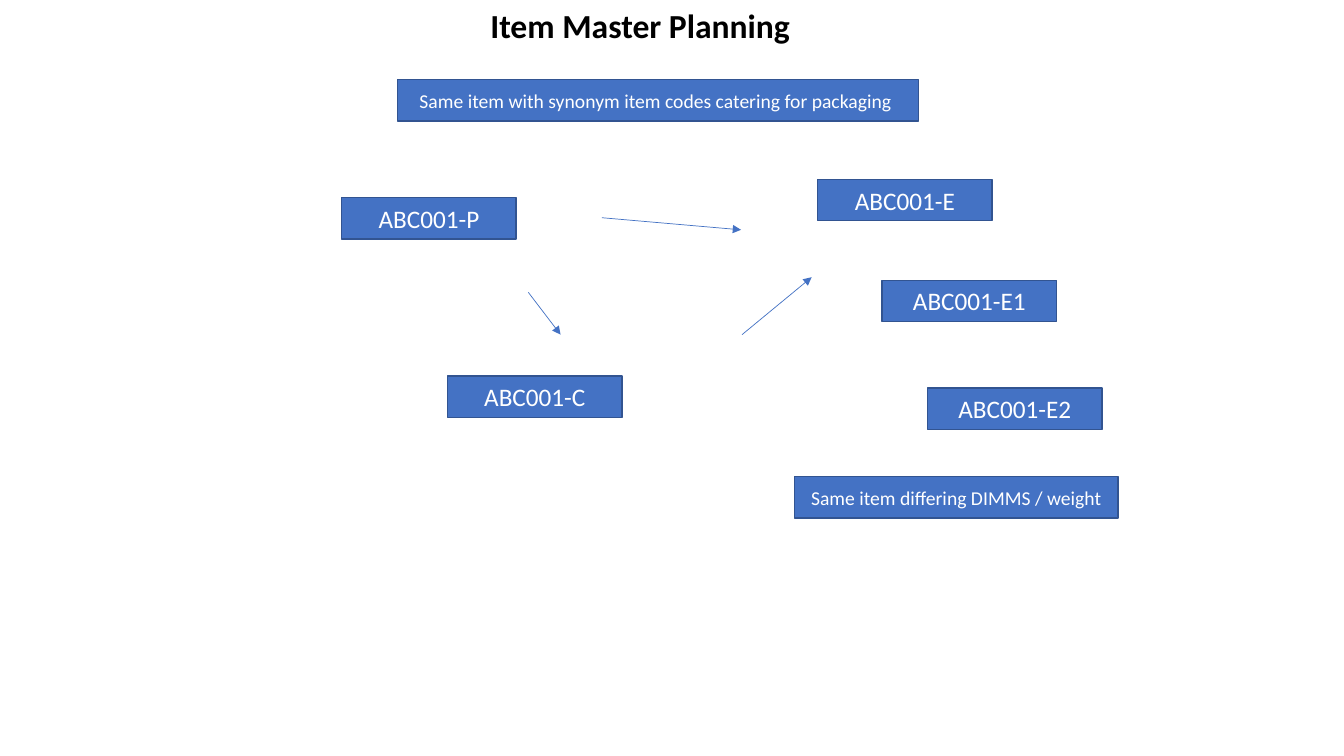
import pptx
import pptx.util
import pptx.dml.color
import pptx.enum.shapes
import pptx.enum.text
import pptx.oxml.ns
from lxml import etree

Inches = pptx.util.Inches
Pt = pptx.util.Pt
RGBColor = pptx.dml.color.RGBColor

BLACK = RGBColor(0x00, 0x00, 0x00)
WHITE = RGBColor(0xFF, 0xFF, 0xFF)
BLUE = RGBColor(0x44, 0x72, 0xC4)
DARK_BLUE = RGBColor(0x32, 0x54, 0x91)

LABEL_HEIGHT = 0.41
ITEM_WIDTH = 1.73
ITEM_FONT = {"name": "Calibri", "size": Pt(18), "bold": False}
NOTE_FONT = {**ITEM_FONT, "size": Pt(14)}
TITLE_FONT = {"name": "Calibri", "size": Pt(24), "bold": True}

# Offsets from the left top corner of the item map
ITEMS = [
    ("ABC001-P", 0, 0.18),
    ("ABC001-C", 1.05, 1.95),
    ("ABC001-E", 4.72, 0),
    ("ABC001-E1", 5.36, 1),
    ("ABC001-E2", 5.81, 2.07),
]
ARROWS = [
    (1.85, 1.12, 2.17, 1.54),
    (3.97, 1.54, 4.66, 0.97),
    (2.58, 0.38, 3.96, 0.5),
]


def write_centred(frame, wording, font_format, color):
    frame.word_wrap = True
    paragraph = frame.paragraphs[0]
    paragraph.alignment = pptx.enum.text.PP_ALIGN.CENTER
    run = paragraph.add_run()
    run.text = wording
    for attribute, value in font_format.items():
        setattr(run.font, attribute, value)
    run.font.color.rgb = color


def add_title(slide, left, top, width, height):
    title = slide.shapes.add_textbox(
        Inches(left), Inches(top), Inches(width), Inches(height))
    write_centred(title.text_frame, "Item Master Planning", TITLE_FONT, BLACK)


def add_label(slide, wording, left, top, width, font_format):
    label = slide.shapes.add_shape(
        pptx.enum.shapes.MSO_SHAPE.RECTANGLE,
        Inches(left), Inches(top), Inches(width), Inches(LABEL_HEIGHT))
    label.shadow.inherit = False
    label.fill.solid()
    label.fill.fore_color.rgb = BLUE
    label.line.color.rgb = DARK_BLUE
    label.line.width = Pt(1)
    label.text_frame.vertical_anchor = pptx.enum.text.MSO_ANCHOR.MIDDLE
    write_centred(label.text_frame, wording, font_format, WHITE)


def add_arrow(slide, x1, y1, x2, y2):
    arrow = slide.shapes.add_connector(
        pptx.enum.shapes.MSO_CONNECTOR.STRAIGHT,
        Inches(x1), Inches(y1), Inches(x2), Inches(y2))
    arrow.line.color.rgb = BLUE
    arrow.line.width = Pt(0.5)
    qn = pptx.oxml.ns.qn
    etree.SubElement(arrow.line._get_or_add_ln(), qn("a:tailEnd"), type="triangle")
    etree.SubElement(arrow._element.spPr, qn("a:effectLst"))


def add_item_map(slide, left, top):
    """Place the item codes and the arrows that lead from one to another."""
    for code, dx, dy in ITEMS:
        add_label(slide, code, left + dx, top + dy, ITEM_WIDTH, ITEM_FONT)
    for x1, y1, x2, y2 in ARROWS:
        add_arrow(slide, left + x1, top + y1, left + x2, top + y2)


def main():
    deck = pptx.Presentation()
    deck.slide_width = Inches(13.33)
    deck.slide_height = Inches(7.5)
    slide = deck.slides.add_slide(deck.slide_layouts[6])

    add_title(slide, 0.08, 0, 12.54, 0.5)
    add_label(slide, "Same item with synonym item codes catering for packaging ",
              3.94, 0.79, 5.17, NOTE_FONT)
    add_item_map(slide, 3.39, 1.78)
    add_label(slide, "Same item differing DIMMS / weight",
              7.88, 4.73, 3.21, NOTE_FONT)

    deck.save("out.pptx")


if __name__ == "__main__":
    main()
